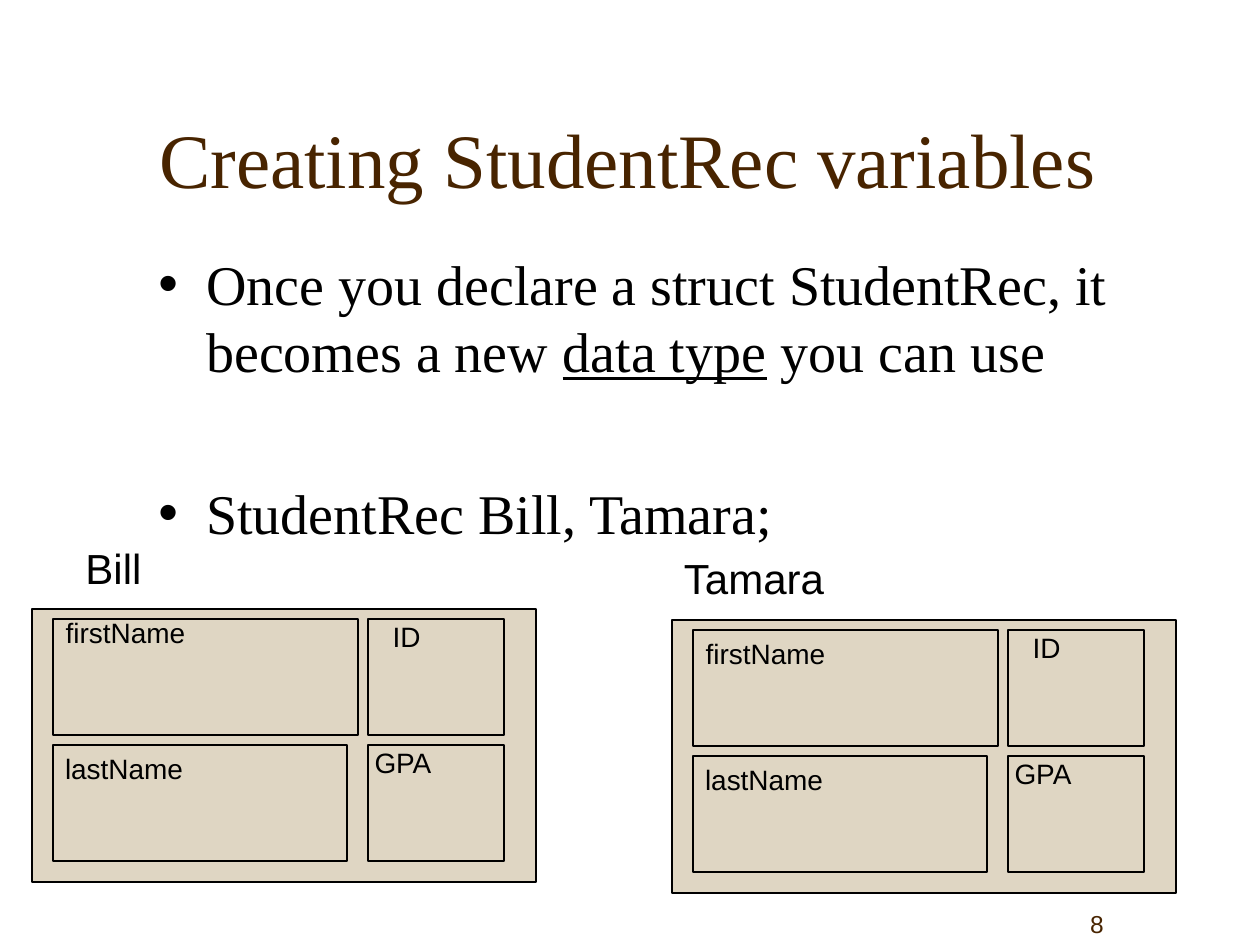
"""Builds a slide that shows two StudentRec variables and their fields."""
from lxml import etree
from pptx import Presentation
from pptx.dml.color import RGBColor
from pptx.enum.shapes import MSO_SHAPE
from pptx.enum.text import MSO_ANCHOR, MSO_AUTO_SIZE, PP_ALIGN
from pptx.oxml.ns import qn
from pptx.util import Inches, Pt

RECTANGLE = MSO_SHAPE.RECTANGLE
TOP, BOTTOM = MSO_ANCHOR.TOP, MSO_ANCHOR.BOTTOM
LEFT, CENTER = PP_ALIGN.LEFT, PP_ALIGN.CENTER
GROW = MSO_AUTO_SIZE.SHAPE_TO_FIT_TEXT
SCALE = Inches(1) / 126
BROWN, BLACK, SAND = "482400", "000000", "DFD6C3"
SERIF, SANS = "Times New Roman", "Arial"

TITLE = ("Creating StudentRec variables", (147, 53, 1071, 157))
BODY_AREA = (146, 243, 1071, 567)
BULLETS = [
    (8, [("Once you declare a struct StudentRec, it becomes a new ", False),
         ("data type", True), (" you can use", False)]),
    (54, [("StudentRec Bill, Tamara;", False)]),
]
PAGE_NUMBER = ("8", (966, 882, 262, 63))

RECORD_SIZE = (504, 273)
RECORDS = [
    {"name": "Bill", "at": (32, 609), "name_area": (40, -73, 83, 63), "first_label": 0},
    {"name": "Tamara", "at": (672, 620), "name_area": (-4, -74, 172, 63), "first_label": 10},
]
FIELD_BOXES = [(21, 10, 305, 116), (21, 136, 294, 116),
               (336, 136, 136, 116), (336, 10, 136, 116)]
FIELD_LABELS = [("ID", (347, 4, 55, 47)), ("GPA", (328, 130, 86, 47)),
                ("lastName", (19, 136, 146, 47))]

TITLE_STYLE = {"size": Pt(44), "name": SERIF}
BODY_STYLE = {"size": Pt(32), "name": SERIF}
NAME_STYLE = {"size": Pt(24), "name": SANS}
LABEL_STYLE = {"size": Pt(16), "name": SANS}
NUMBER_STYLE = {"size": Pt(14), "name": SANS}


def color(value):
    return RGBColor.from_string(value)


def emu(area):
    return [round(value * SCALE) for value in area]


def shift(area, origin):
    return (area[0] + origin[0], area[1] + origin[1], *area[2:])


def set_all(target, values):
    for key, value in values.items():
        setattr(target, key, value)


def add_span(para, text, style, ink, underline=False):
    span = para.add_run()
    span.text = text
    set_all(span.font, {**style, "underline": underline})
    span.font.color.rgb = color(ink)


def add_frame(page, area, **frame_values):
    frame = page.shapes.add_textbox(*emu(area)).text_frame
    set_all(frame, {"word_wrap": True, "vertical_anchor": TOP, **frame_values})
    return frame


def add_text(page, text, area, style, ink, para_values, **frame_values):
    para = add_frame(page, area, **frame_values).paragraphs[0]
    set_all(para, para_values)
    add_span(para, text, style, ink)


def add_label(page, text, area, style, gap):
    add_text(page, text, area, style, BLACK,
             {"alignment": CENTER, "space_before": Pt(gap)},
             word_wrap=False, auto_size=GROW)


def add_bullets(page):
    frame = add_frame(page, BODY_AREA)
    for index, (gap, spans) in enumerate(BULLETS):
        para = frame.add_paragraph() if index else frame.paragraphs[0]
        set_all(para, {"alignment": LEFT, "space_before": Pt(gap)})
        properties = para._p.get_or_add_pPr()
        indent = Inches(0.38)
        properties.set("marL", str(indent))
        properties.set("indent", str(-indent))
        bullet_color = etree.SubElement(properties, qn("a:buClr"))
        etree.SubElement(bullet_color, qn("a:srgbClr")).set("val", BLACK)
        etree.SubElement(properties, qn("a:buFont")).set("typeface", SANS)
        etree.SubElement(properties, qn("a:buChar")).set("char", "•")
        for text, underline in spans:
            add_span(para, text, BODY_STYLE, BLACK, underline)


def add_box(page, area):
    box = page.shapes.add_shape(RECTANGLE, *emu(area))
    box.shadow.inherit = False
    box.fill.solid()
    box.fill.fore_color.rgb = color(SAND)
    box.line.color.rgb = color(BLACK)
    box.line.width = Pt(0.75)


def add_record(page, record):
    origin = record["at"]
    add_box(page, (*origin, *RECORD_SIZE))
    add_label(page, record["name"], shift(record["name_area"], origin), NAME_STYLE, 6)
    for area in FIELD_BOXES:
        add_box(page, shift(area, origin))
    first_label = ("firstName", (19, record["first_label"], 149, 47))
    for text, area in [first_label, *FIELD_LABELS]:
        add_label(page, text, shift(area, origin), LABEL_STYLE, 4)


def main():
    deck = Presentation()
    set_all(deck, {"slide_width": Inches(10), "slide_height": Inches(7.5)})
    page = deck.slides.add_slide(deck.slide_layouts[6])
    add_text(page, *TITLE, TITLE_STYLE, BROWN, {"alignment": LEFT}, vertical_anchor=BOTTOM)
    add_bullets(page)
    for record in RECORDS:
        add_record(page, record)
    add_text(page, *PAGE_NUMBER, NUMBER_STYLE, BROWN, {"alignment": CENTER},
             vertical_anchor=BOTTOM)
    deck.save("out.pptx")


if __name__ == "__main__":
    main()
